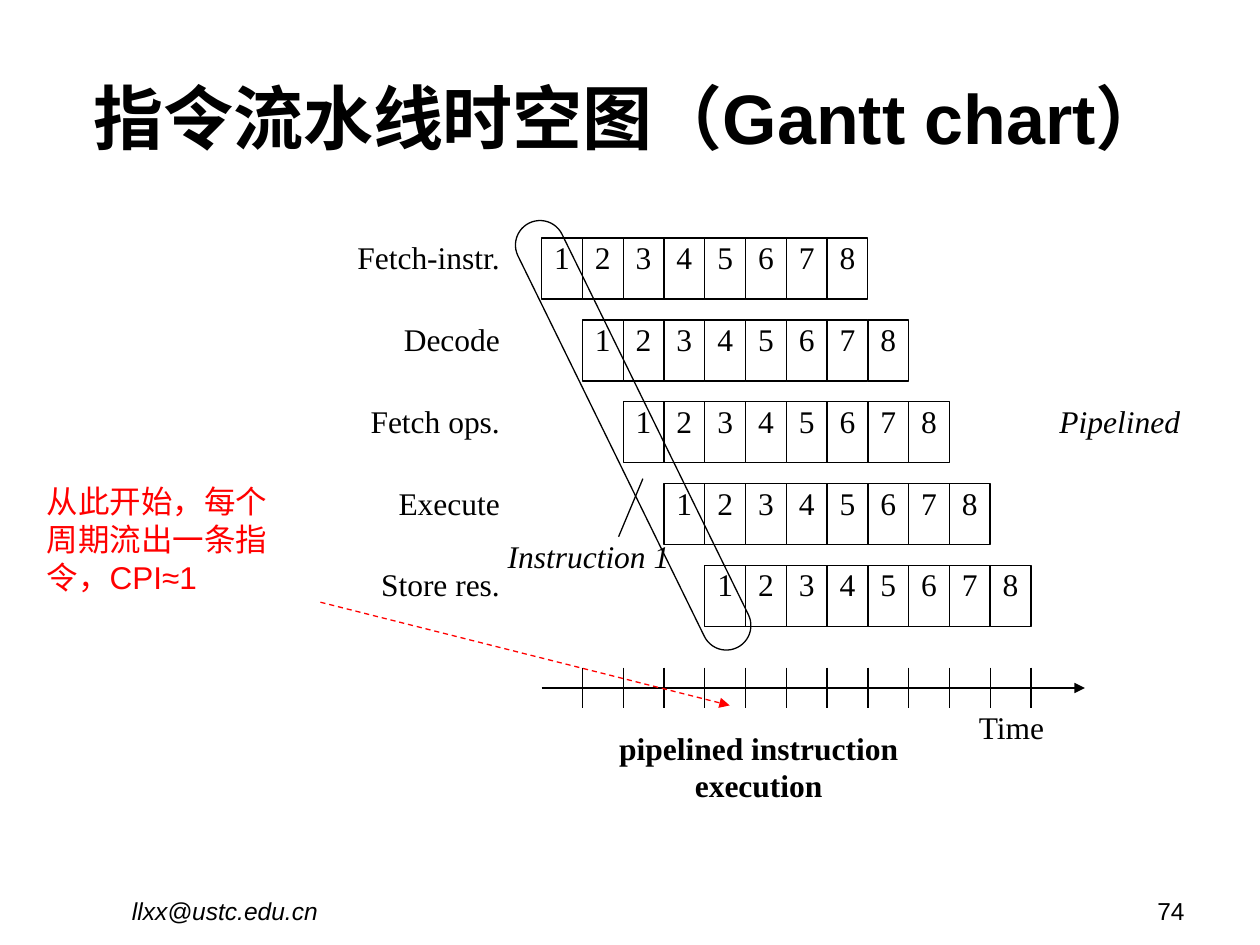
from lxml import etree
from pptx import Presentation
from pptx.dml.color import RGBColor
from pptx.enum.dml import MSO_LINE_DASH_STYLE as DASH
from pptx.enum.shapes import MSO_CONNECTOR, MSO_SHAPE
from pptx.enum.text import MSO_ANCHOR, PP_ALIGN
from pptx.oxml.ns import qn
from pptx.util import Cm, Pt

BLACK = RGBColor(0x00, 0x00, 0x00)
WHITE = RGBColor(0xFF, 0xFF, 0xFF)
RED = RGBColor(0xFF, 0x00, 0x00)
SANS, SERIF = "Arial", "Times New Roman"
LEFT, CENTER, RIGHT = PP_ALIGN.LEFT, PP_ALIGN.CENTER, PP_ALIGN.RIGHT

STAGES = ["Fetch-instr.", "Decode", "Fetch ops.", "Execute", "Store res."]
INSTRUCTIONS = 8
CYCLES = len(STAGES) + INSTRUCTIONS - 1
CYCLE_W = 0.822
ROW_STEP, ROW_H = 1.65, 1.23
LABEL_W, LABEL_GAP = 4.11, 0.84


def write(tf, lines, align, font=SERIF, size=18, color=BLACK,
          bold=False, italic=False):
    for i, line in enumerate(lines):
        p = tf.paragraphs[0] if i == 0 else tf.add_paragraph()
        p.alignment = align
        r = p.add_run()
        r.text = line
        r.font.name, r.font.size = font, Pt(size)
        r.font.bold, r.font.italic = bold, italic
        r.font.color.rgb = color


def add_text(s, x, y, w, h, lines, align, inset=True, wrap=True, **style):
    tf = s.shapes.add_textbox(Cm(x), Cm(y), Cm(w), Cm(h)).text_frame
    tf.word_wrap = wrap
    if not inset:
        tf.margin_left = tf.margin_right = tf.margin_top = tf.margin_bottom = 0
    write(tf, lines, align, **style)


def add_box(s, x, y, w, h, text, align, outlined=False):
    sp = s.shapes.add_shape(MSO_SHAPE.RECTANGLE, Cm(x), Cm(y), Cm(w), Cm(h))
    sp.shadow.inherit = False
    sp.fill.solid()
    sp.fill.fore_color.rgb = WHITE
    if outlined:
        sp.line.color.rgb = BLACK
        sp.line.width = Pt(0.75)
    else:
        sp.line.fill.background()
    tf = sp.text_frame
    tf.margin_left = tf.margin_right = tf.margin_top = tf.margin_bottom = 0
    tf.vertical_anchor = MSO_ANCHOR.TOP
    write(tf, [text], align)


def add_line(s, x1, y1, x2, y2, color=BLACK, dashed=False, arrow=False):
    line = s.shapes.add_connector(MSO_CONNECTOR.STRAIGHT,
                                  Cm(x1), Cm(y1), Cm(x2), Cm(y2))
    line.line.color.rgb = color
    line.line.width = Pt(0.75)
    if dashed:
        line.line.dash_style = DASH.DASH
    if arrow:
        ln = line.line._get_or_add_ln()
        etree.SubElement(ln, qn("a:tailEnd"), type="triangle")
    etree.SubElement(line._element.spPr, qn("a:effectLst"))


def place_title(s, x, y, w, h):
    title = s.shapes.title
    title.left, title.top, title.width, title.height = Cm(x), Cm(y), Cm(w), Cm(h)
    tf = title.text_frame
    tf.word_wrap = True
    tf.vertical_anchor = MSO_ANCHOR.MIDDLE
    write(tf, ["指令流水线时空图（Gantt chart）"], CENTER,
          font=SANS, size=40, bold=True)


def draw_stages(s, x, y):
    start = x + LABEL_W + LABEL_GAP
    for row, stage in enumerate(STAGES):
        top = y + row * ROW_STEP
        add_box(s, x, top, LABEL_W, ROW_H, stage, RIGHT)
        for n in range(INSTRUCTIONS):
            add_box(s, start + (row + n) * CYCLE_W, top, CYCLE_W, ROW_H,
                    str(n + 1), CENTER, outlined=True)
    add_text(s, x + 14.27, y + 2 * ROW_STEP, 4.67, ROW_H, ["Pipelined"],
             CENTER, inset=False, italic=True)


def draw_time_axis(s, x, y, w):
    tick = 0.41
    add_box(s, x + 6.02, y + tick, LABEL_W, ROW_H, "Time", RIGHT)
    for n in range(1, CYCLES + 1):
        tick_x = x + n * CYCLE_W
        add_line(s, tick_x, y - tick, tick_x, y + tick)
    add_line(s, x, y, x + w, y, arrow=True)
    add_text(s, x + 0.97, y + 0.82, 6.81, ROW_H,
             ["pipelined instruction execution"], CENTER,
             inset=False, bold=True)


def mark_first_instruction(s, x, y, w, h):
    capsule = s.shapes.add_shape(MSO_SHAPE.ROUNDED_RECTANGLE,
                                 Cm(x), Cm(y), Cm(w), Cm(h))
    capsule.shadow.inherit = False
    capsule.adjustments[0] = 0.5
    capsule.rotation = 333.9
    capsule.fill.background()
    capsule.line.color.rgb = BLACK
    capsule.line.width = Pt(0.75)
    add_line(s, x + 0.69, y + 5.64, x + 0.2, y + 6.81)
    add_text(s, x - 2.26, y + 6.81, 3.71, 1.57, ["Instruction 1"], CENTER,
             inset=False, italic=True)


def add_note(s, x, y, w, h):
    add_line(s, x + 5.77, y + h, x + 14.02, y + h + 2.08,
             color=RED, dashed=True, arrow=True)
    add_text(s, x, y, w, h, ["从此开始，每个", "周期流出一条指", "令，CPI≈1"],
             LEFT, wrap=False, font=SANS, color=RED)


def add_footer(s, x, y, w, h):
    number_w = 5.92
    add_text(s, x, y, 8.05, h, ["llxx@ustc.edu.cn"], CENTER,
             font=SANS, size=14, italic=True)
    add_text(s, x + w - number_w, y, number_w, h, ["74"], RIGHT,
             font=SANS, size=14)


def main():
    prs = Presentation()
    prs.slide_width, prs.slide_height = Cm(25.4), Cm(19.05)
    s = prs.slides.add_slide(prs.slide_layouts[5])
    place_title(s, 0.69, 0.76, 24, 3.18)
    draw_stages(s, 5.97, 4.8)
    draw_time_axis(s, 10.92, 13.87, 10.95)
    mark_first_instruction(s, 12.27, 4.01, 0.99, 9.53)
    add_note(s, 0.69, 9.6, 4.95, 2.54)
    add_footer(s, 0.51, 17.93, 23.62, 0.74)
    prs.save("out.pptx")


if __name__ == "__main__":
    main()
